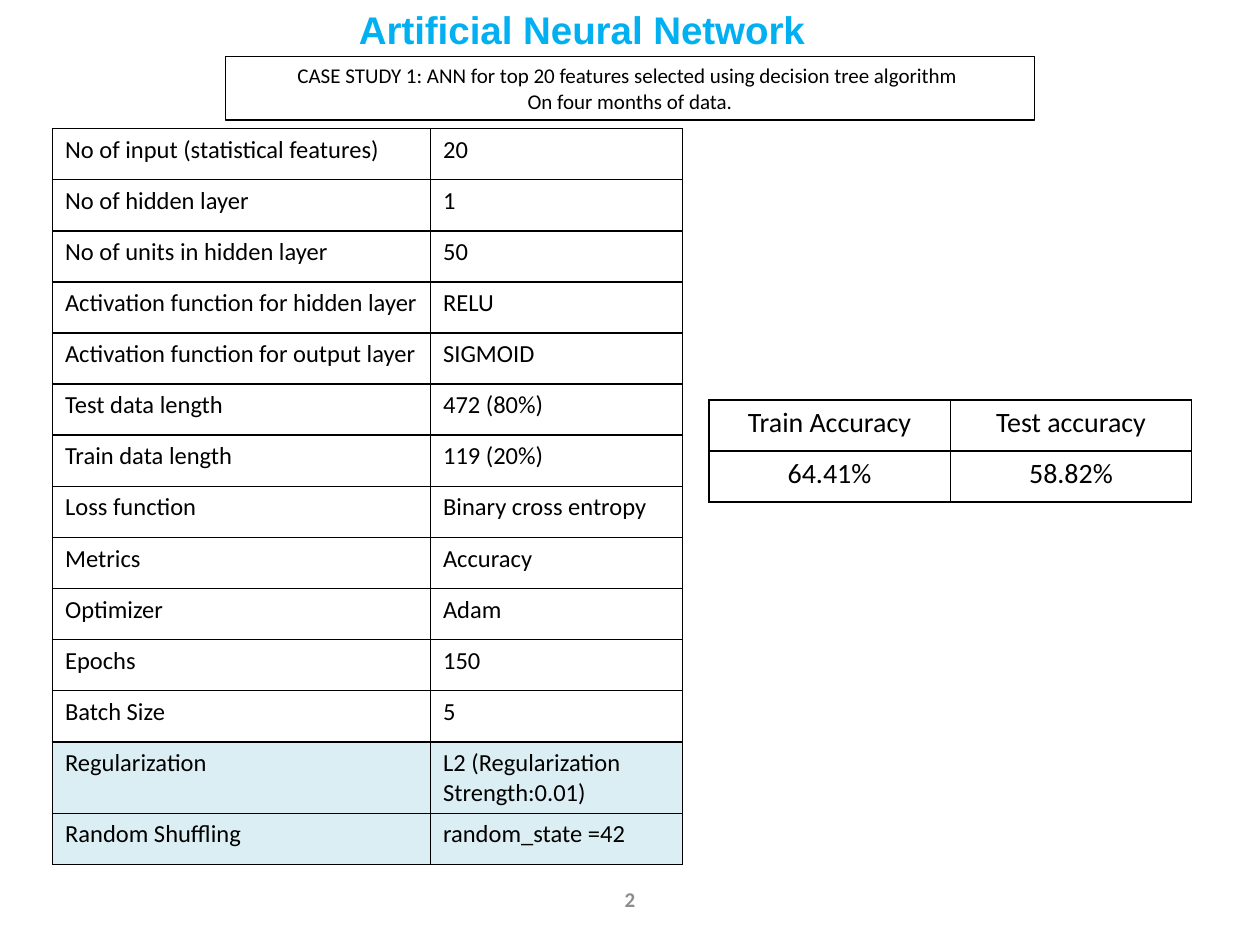
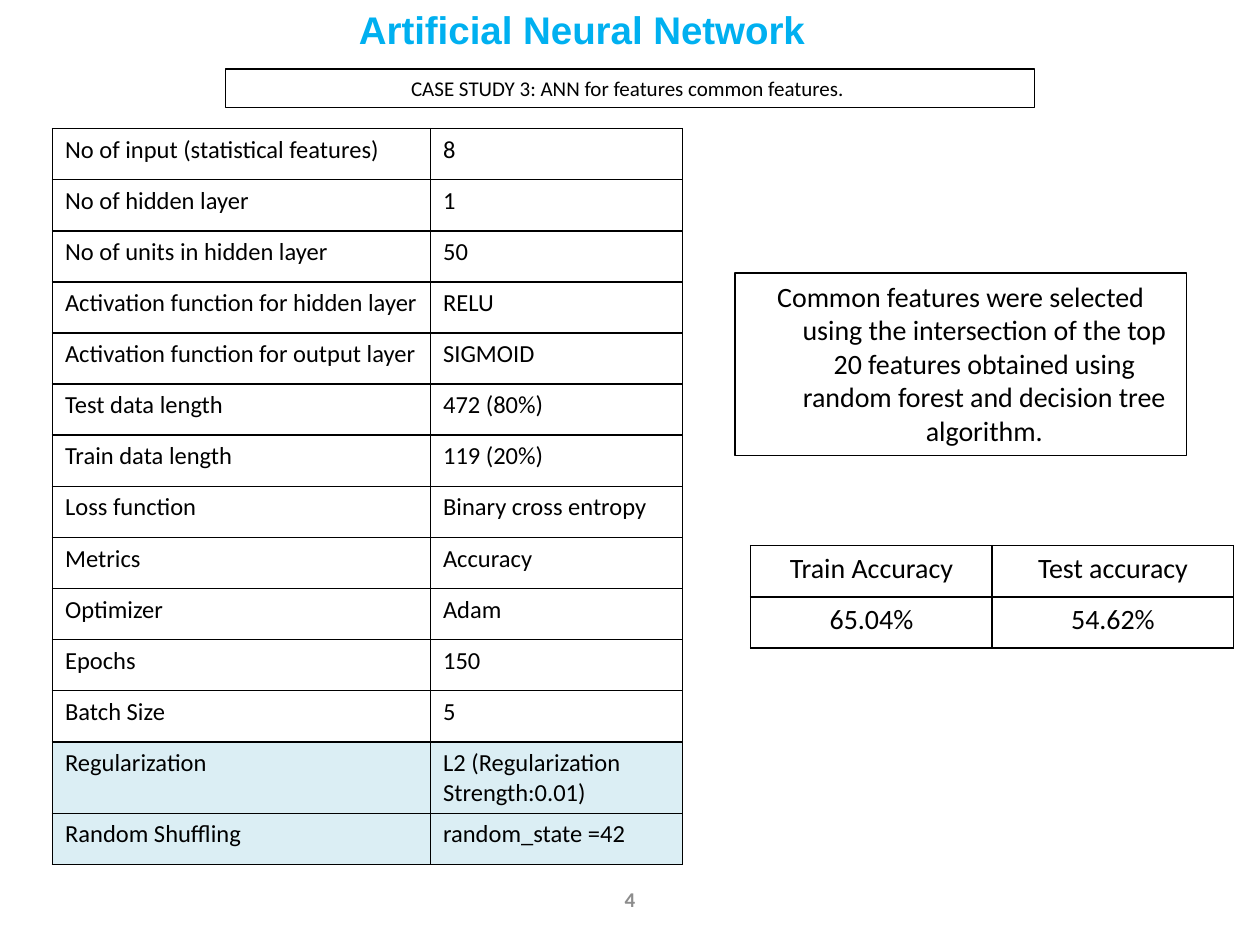
import pptx
import pptx.util
import pptx.dml.color
import pptx.enum.shapes
import pptx.enum.text
import pptx.oxml.ns
import lxml.etree
from dataclasses import dataclass

Pt = pptx.util.Pt
LEFT = pptx.enum.text.PP_ALIGN.LEFT
MID = pptx.enum.text.PP_ALIGN.CENTER
TOP = pptx.enum.text.MSO_ANCHOR.TOP
CENTER = pptx.enum.text.MSO_ANCHOR.MIDDLE


@dataclass(frozen=True)
class Theme:
    black: str = "000000"
    blue: str = "00B0F0"
    grey: str = "8C8C8C"
    tint: str = "DBEEF4"
    head: str = "Arial"
    body: str = "Calibri"
    title: int = 22
    large: int = 16
    cell: int = 14
    small: int = 12
    rule: float = 1
    frame: float = 0.75
    hang: float = 27
    row: float = 29.2


THEME = Theme()

# Settings common to every case study; the input count goes on top
SETUP = [
    ("No of hidden layer", "1"),
    ("No of units in hidden layer", "50"),
    ("Activation function for hidden layer", "RELU"),
    ("Activation function for output layer", "SIGMOID"),
    ("Test data length", "472 (80%)"),
    ("Train data length", "119 (20%)"),
    ("Loss function", "Binary cross entropy"),
    ("Metrics", "Accuracy"),
    ("Optimizer", "Adam"),
    ("Epochs", "150"),
    ("Batch Size", "5"),
    ("Regularization", "L2 (Regularization Strength:0.01)"),
    ("Random Shuffling", "random_state =42"),
]
TINTED = 2  # last rows of the settings table


def rgb(code):
    return pptx.dml.color.RGBColor.from_string(code)


def style(para, size, color=THEME.black, face=THEME.body, bold=False, align=LEFT):
    para.alignment = align
    font = para.font
    font.name, font.size, font.bold = face, Pt(size), bold
    font.color.rgb = rgb(color)


def label(slide, box, text, anchor=TOP, **look):
    """Plain text without a frame."""
    frame = slide.shapes.add_textbox(*map(Pt, box)).text_frame
    frame.word_wrap = True
    frame.vertical_anchor = anchor
    frame.text = text
    style(frame.paragraphs[0], **look)


def note(slide, box, lines, size, anchor=CENTER):
    """Framed box with centred, hanging paragraphs."""
    kind = pptx.enum.shapes.MSO_SHAPE.RECTANGLE
    shape = slide.shapes.add_shape(kind, *map(Pt, box))
    shape.shadow.inherit = False
    shape.fill.background()
    shape.line.color.rgb = rgb(THEME.black)
    shape.line.width = Pt(THEME.frame)
    frame = shape.text_frame
    frame.word_wrap = True
    frame.vertical_anchor = anchor
    frame.text = "\n".join(lines)
    for para in frame.paragraphs:
        style(para, size, align=MID)
        props = para._p.get_or_add_pPr()
        props.set("marL", str(Pt(THEME.hang)))
        props.set("indent", str(-Pt(THEME.hang)))


def border(cell):
    props = cell._tc.get_or_add_tcPr()
    qn = pptx.oxml.ns.qn
    for side in ("lnL", "lnR", "lnT", "lnB"):
        line = lxml.etree.SubElement(props, qn("a:" + side), w=str(Pt(THEME.rule)))
        fill = lxml.etree.SubElement(line, qn("a:solidFill"))
        lxml.etree.SubElement(fill, qn("a:srgbClr"), val=THEME.black)


def grid(slide, left, top, widths, rows, size, align=LEFT, tinted=0):
    """Ruled table; the last tinted rows get a pale fill."""
    count = len(rows)
    table = slide.shapes.add_table(
        count, len(widths), Pt(left), Pt(top),
        Pt(sum(widths)), Pt(count * THEME.row)).table
    table.first_row = table.horz_banding = False
    for col, width in zip(table.columns, widths):
        col.width = Pt(width)
    for i, texts in enumerate(rows):
        table.rows[i].height = Pt(THEME.row)
        for j, text in enumerate(texts):
            cell = table.cell(i, j)
            border(cell)
            if i >= count - tinted:
                cell.fill.solid()
                cell.fill.fore_color.rgb = rgb(THEME.tint)
            else:
                cell.fill.background()
            cell.text = text
            style(cell.text_frame.paragraphs[0], size, align=align)


def study(deck, number, head, inputs, scores, place):
    """One case study: page number, title, settings, scores, heading."""
    slide = deck.slides.add_slide(deck.slide_layouts[6])
    label(slide, (335, 499, 50, 29), number, anchor=CENTER, size=THEME.small,
          color=THEME.grey, bold=True, align=MID)
    label(slide, (198, 0, 330, 34), "Artificial Neural Network",
          size=THEME.title, color=THEME.blue, face=THEME.head, bold=True)
    rows = [("No of input (statistical features)", inputs)] + SETUP
    grid(slide, 30, 73.5, (216, 144), rows, THEME.cell, tinted=TINTED)
    grid(slide, *place, (138, 138), [("Train Accuracy", "Test accuracy"), scores],
         THEME.large, align=MID)
    # Heading box is centred on one line whatever its height
    high = 7.2 + 14.6 * len(head)
    note(slide, (128.8, 50.4 - high / 2, 462.4, high), head, THEME.small)
    return slide


def main():
    deck = pptx.Presentation()
    deck.slide_width, deck.slide_height = Pt(720), Pt(540)

    study(deck, "2",
          ["CASE STUDY 1: ANN for top 20 features selected using decision tree algorithm ",
           "On four months of data."],
          "20", ("64.41%", "58.82%"), (405, 228.5))

    common = study(deck, "4",
                   ["CASE STUDY 3: ANN for features common features. "],
                   "8", ("65.04%", "54.62%"), (429, 311.8))
    note(common, (420, 156, 258, 104.4),
         ["Common features were selected using the intersection of the top 20 "
          "features obtained using random forest and decision tree algorithm."],
         THEME.large, anchor=TOP)

    deck.save("out.pptx")


if __name__ == "__main__":
    main()
